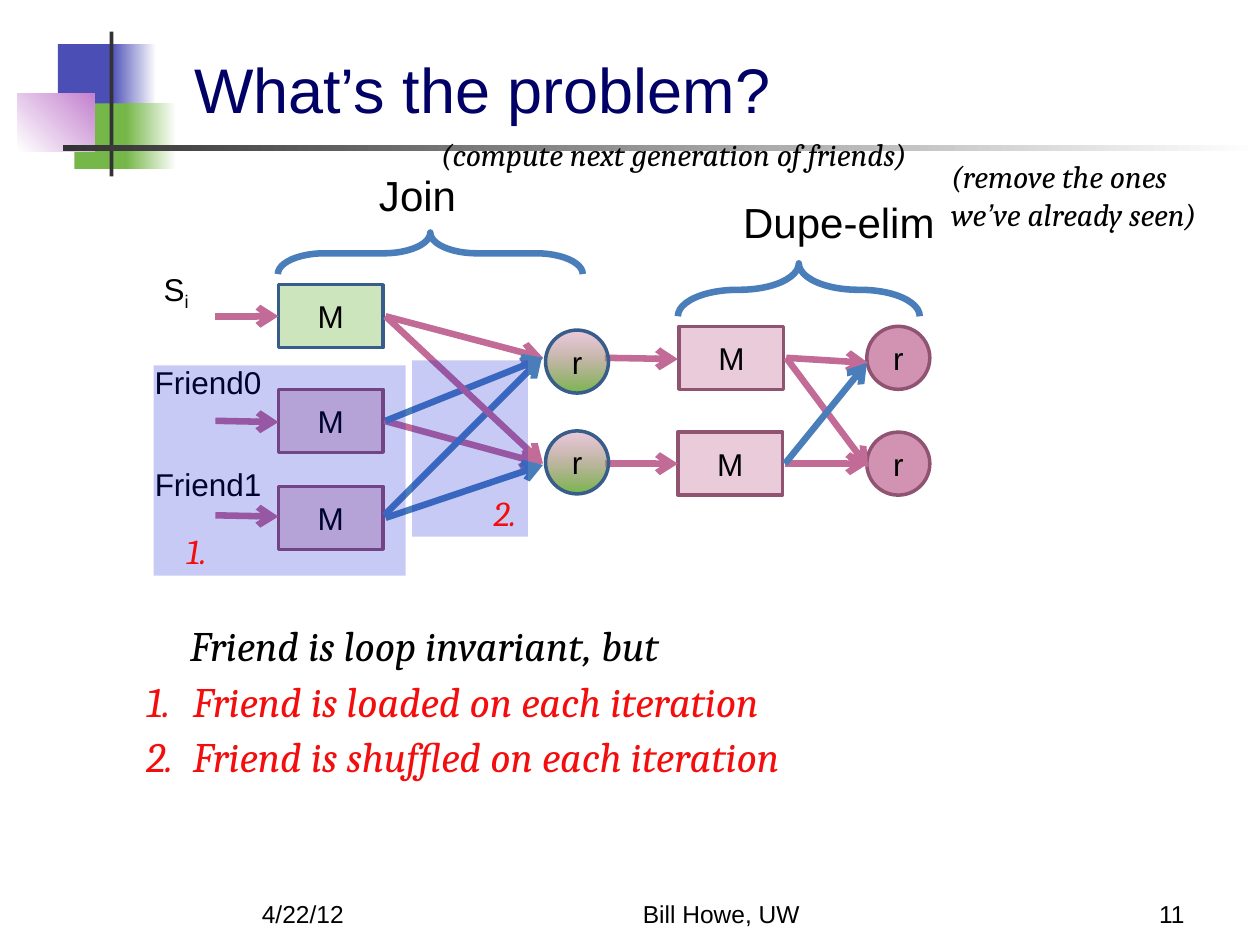
import pptx
import pptx.util
import pptx.dml.color
import pptx.enum.shapes
import pptx.enum.text
import pptx.oxml
import pptx.oxml.ns
from pptx.util import Inches

RGBColor = pptx.dml.color.RGBColor
SHAPE = pptx.enum.shapes.MSO_SHAPE
ALIGN = pptx.enum.text.PP_ALIGN
ANCHOR = pptx.enum.text.MSO_ANCHOR
qn = pptx.oxml.ns.qn

WHITE = RGBColor(0xFF, 0xFF, 0xFF)
BLACK = RGBColor(0, 0, 0)
CHARCOAL = RGBColor(0x33, 0x33, 0x33)
NAVY = RGBColor(0x00, 0x00, 0x66)
RED = RGBColor(0xF3, 0x0D, 0x0D)
INDIGO = RGBColor(0x4B, 0x4E, 0xB5)
GREEN = RGBColor(0x76, 0xB7, 0x49)
ORCHID = RGBColor(0xC4, 0x81, 0xCF)
PINK = RGBColor(0xC4, 0x70, 0x9A)
PLUM = RGBColor(0x91, 0x53, 0x72)
STEEL = RGBColor(0x38, 0x5D, 0x8A)
ROSE_ARROW = RGBColor(0xC2, 0x6B, 0x97)
BLUE_ARROW = RGBColor(0x4A, 0x7E, 0xBB)
HIGHLIGHT = RGBColor(0x00, 0x11, 0xCF)

presentation = pptx.Presentation()
presentation.slide_width, presentation.slide_height = Inches(10), Inches(7.5)
slide = presentation.slides.add_slide(presentation.slide_layouts[1])


def add_block(preset, at, fills=(), angle=0, alpha=None, line=None, line_width=2, label=None):
    """Add a shape with no fill, one fill or a two-colour gradient; alpha is for the first colour."""
    block = slide.shapes.add_shape(preset, *[Inches(v) for v in at])
    block.shadow.inherit = False
    if len(fills) == 2:
        block.fill.gradient()
        block.fill.gradient_angle = -angle % 360
        for stop, color in zip(block.fill.gradient_stops, fills):
            stop.color.rgb = color
    elif fills:
        block.fill.solid()
        block.fill.fore_color.rgb = fills[0]
    else:
        block.fill.background()
    if alpha:
        color_element = next(block._element.spPr.iter(qn("a:srgbClr")))
        color_element.append(pptx.oxml.parse_xml(
            '<a:alpha xmlns:a="http://schemas.openxmlformats.org/drawingml/2006/main" '
            f'val="{alpha * 1000}"/>'))
    if line:
        block.line.color.rgb = line
        block.line.width = pptx.util.Pt(line_width)
    else:
        block.line.fill.background()
    if label:
        block.text_frame.vertical_anchor = ANCHOR.MIDDLE
        paragraph = block.text_frame.paragraphs[0]
        paragraph.alignment = ALIGN.CENTER
        run = paragraph.add_run()
        run.text = label
        run.font.name, run.font.size = "Arial", pptx.util.Pt(18)
        run.font.color.rgb = BLACK
    return block


def add_label(at, runs, size=18, font="Arial", color=BLACK, align=ALIGN.LEFT,
              anchor=ANCHOR.TOP, wrap=True):
    """Add a one-paragraph text box; Cambria text is italic."""
    label = slide.shapes.add_textbox(*[Inches(v) for v in at])
    label.text_frame.word_wrap = wrap
    label.text_frame.vertical_anchor = anchor
    paragraph = label.text_frame.paragraphs[0]
    paragraph.alignment = align
    for text in runs:
        run = paragraph.add_run()
        run.text = text
        run.font.name = "Arial" if text == "’" else font
        run.font.size = pptx.util.Pt(size)
        run.font.italic = font == "Cambria"
        run.font.color.rgb = color
    return paragraph


# Corner decoration and title rule
for at, fills, angle in [
    ((0.46, 0.35, 0.48, 0.52), [INDIGO], 0),
    ((0.88, 0.35, 0.36, 0.52), [INDIGO, WHITE], 0),
    ((0.59, 0.82, 0.46, 0.52), [GREEN], 0),
    ((1, 0.82, 0.4, 0.52), [GREEN, WHITE], 0),
    ((0.14, 0.74, 0.61, 0.46), [WHITE, ORCHID], 315),
    ((0.87, 0.25, 0.03, 1.15), [CHARCOAL], 0),
    ((0.5, 1.15, 9.5, 0.05), [CHARCOAL, WHITE], 0),
]:
    add_block(SHAPE.RECTANGLE, at, fills, angle)

# Footer
for left, width, text, align in [
    (1.98, 2.08, "4/22/12", ALIGN.LEFT),
    (4.14, 3.17, "Bill Howe, UW", ALIGN.CENTER),
    (7.42, 2.08, "11", ALIGN.RIGHT),
]:
    add_label((left, 6.92, width, 0.5), [text], 14, align=align, anchor=ANCHOR.BOTTOM)

# Title
title = slide.shapes.title
title.left, title.top, title.width, title.height = [Inches(v) for v in (1.44, 0.41, 8.24, 0.59)]
title.text_frame.vertical_anchor = ANCHOR.MIDDLE
title.text_frame.auto_size = pptx.enum.text.MSO_AUTO_SIZE.NONE
heading = title.text_frame.paragraphs[0]
heading.alignment = ALIGN.LEFT
run = heading.add_run()
run.text = "What’s the problem?"
run.font.name, run.font.size = "Arial", pptx.util.Pt(36)
run.font.color.rgb = NAVY

# Numbered problems
problems = slide.placeholders[1]
problems.left, problems.top, problems.width, problems.height = [
    Inches(v) for v in (1.06, 5.36, 5.84, 0.98)]
problems.text_frame.auto_size = pptx.enum.text.MSO_AUTO_SIZE.NONE
for i, text in enumerate(["Friend is loaded on each iteration",
                          "Friend is shuffled on each iteration"]):
    paragraph = problems.text_frame.add_paragraph() if i else problems.text_frame.paragraphs[0]
    paragraph.line_spacing = 0.9
    paragraph.space_before = pptx.util.Pt(5 * i)
    properties = paragraph._p.get_or_add_pPr()
    properties.set("marL", str(Inches(0.37)))
    properties.set("indent", str(-Inches(0.37)))
    bullet_color = properties.makeelement(qn("a:buClr"), {})
    bullet_color.append(properties.makeelement(qn("a:srgbClr"), {"val": str(RED)}))
    properties.append(bullet_color)
    properties.append(properties.makeelement(qn("a:buAutoNum"), {"type": "arabicPeriod"}))
    run = paragraph.add_run()
    run.text = text
    run.font.name, run.font.size, run.font.italic = "Cambria", pptx.util.Pt(24), True
    run.font.color.rgb = RED
add_label((1.41, 4.87, 3.98, 0.5), ["Friend is loop invariant, but"], 24, "Cambria", wrap=False)

# Mappers of both jobs
for left, top, fill, line in [
    (2.21, 2.26, GREEN, STEEL), (2.21, 3.09, PINK, PLUM), (2.21, 3.86, PINK, PLUM),
    (5.39, 2.59, PINK, PLUM), (5.38, 3.43, PINK, PLUM),
]:
    add_block(SHAPE.FLOWCHART_PROCESS, (left, top, 0.83, 0.5), [fill], alpha=36,
              line=line, label="M")

# Reducers of duplicate elimination
for top in (2.59, 3.43):
    add_block(SHAPE.FLOWCHART_CONNECTOR, (6.88, top, 0.5, 0.5), [PINK], alpha=75,
              line=PLUM, label="r")

# Data flow arrows
for x1, y1, x2, y2, color in [
    (3.06, 2.51, 4.31, 2.84, ROSE_ARROW), (3.05, 3.34, 4.3, 3.68, ROSE_ARROW),
    (3.05, 4.09, 4.3, 2.84, BLUE_ARROW), (3.06, 3.34, 4.31, 2.84, BLUE_ARROW),
    (3.06, 2.51, 4.31, 3.68, ROSE_ARROW), (3.06, 4.11, 4.31, 3.69, BLUE_ARROW),
    (1.71, 2.51, 2.21, 2.51, ROSE_ARROW), (1.71, 3.34, 2.21, 3.35, ROSE_ARROW),
    (1.71, 4.09, 2.21, 4.1, ROSE_ARROW), (4.8, 2.84, 5.38, 2.85, ROSE_ARROW),
    (4.8, 3.68, 5.38, 3.68, ROSE_ARROW), (6.24, 2.84, 6.89, 2.88, ROSE_ARROW),
    (6.23, 3.68, 6.89, 3.68, ROSE_ARROW), (6.24, 2.84, 6.89, 3.71, ROSE_ARROW),
    (6.23, 3.68, 6.88, 2.88, BLUE_ARROW),
]:
    arrow = slide.shapes.add_connector(pptx.enum.shapes.MSO_CONNECTOR.STRAIGHT,
                                       Inches(x1), Inches(y1), Inches(x2), Inches(y2))
    arrow.line.color.rgb = color
    arrow.line.width = pptx.util.Pt(3.75)
    stroke = arrow.line._get_or_add_ln()
    stroke.append(stroke.makeelement(qn("a:tailEnd"), {"type": "arrow"}))
    arrow._element.spPr.append(stroke.makeelement(qn("a:effectLst"), {}))

# Braces over the two jobs
for at in [(3.25, 0.8, 0.33, 2.42), (6.13, 1.34, 0.42, 1.92)]:
    brace = add_block(SHAPE.RIGHT_BRACE, at, line=BLUE_ARROW, line_width=3.75)
    brace.rotation = 270
    brace.adjustments[0], brace.adjustments[1] = 1.125, 0.5

# Input and job names
seed = add_label((1.2, 2.09, 0.5, 0.4), ["S", "i"])
seed.runs[1]._r.get_or_add_rPr().set("baseline", "-25000")
add_label((1.13, 3.64, 1.18, 0.4), ["Friend1"])
add_label((1.13, 2.83, 1.27, 0.4), ["Friend0"])
add_label((2.91, 1.3, 1.07, 0.5), ["Join"], 24)
add_label((5.8, 1.51, 1.83, 0.5), ["Dupe-elim"], 24)

# Reducers of the join
for top in (3.42, 2.62):
    add_block(SHAPE.FLOWCHART_CONNECTOR, (4.33, top, 0.5, 0.5), [PINK, GREEN], 90, 35,
              line=STEEL, label="r")

# Job explanations
add_label((3.4, 1.02, 4.15, 0.4), ["(compute next generation of friends)"], font="Cambria")
add_label((7.45, 1.2, 2.3, 0.7), ["(remove the ones we", "’", "ve already seen)"], font="Cambria")

# Highlighted problem areas and their numbers
for at in [(1.22, 2.9, 2, 1.67), (3.27, 2.86, 0.92, 1.4)]:
    add_block(SHAPE.RECTANGLE, at, [HIGHLIGHT], alpha=22)
for left, top, number in [(1.38, 4.15, "1."), (3.82, 3.85, "2.")]:
    add_label((left, top, 0.5, 0.43), [number], 20, "Cambria", RED)

presentation.save("out.pptx")
